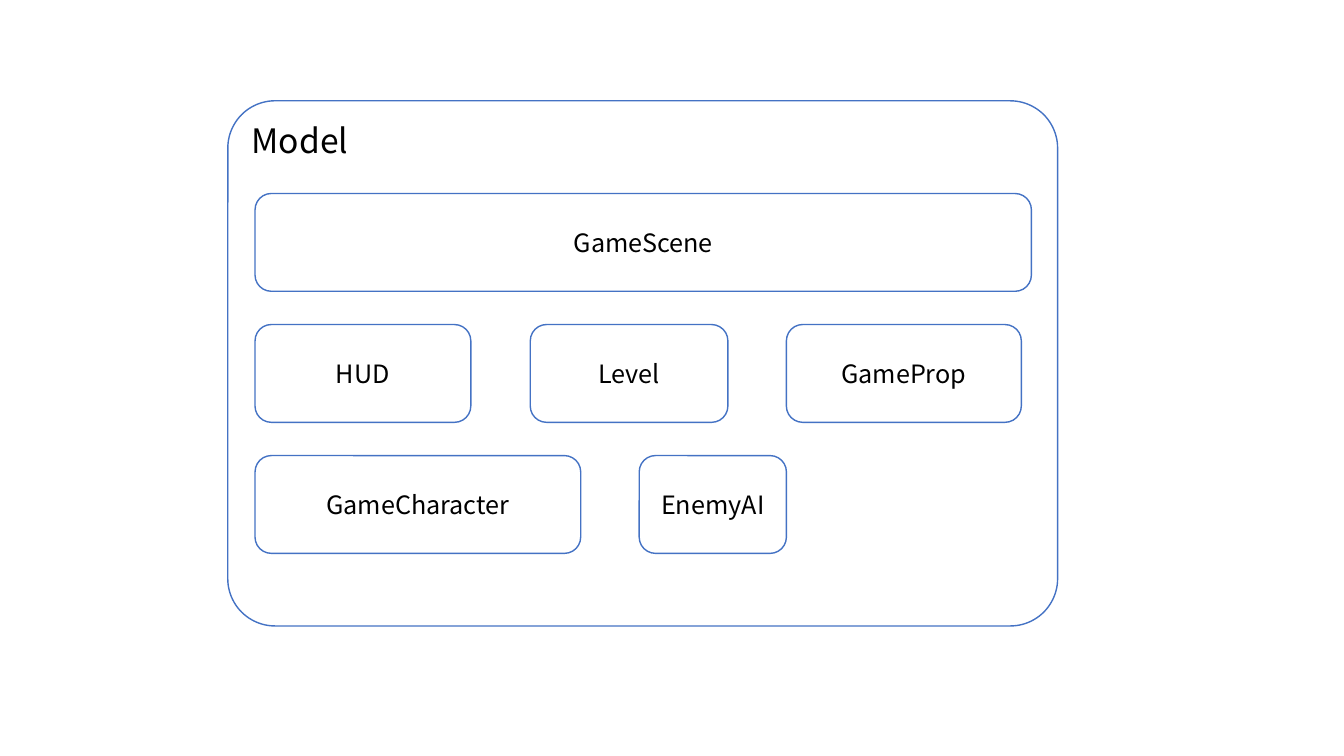
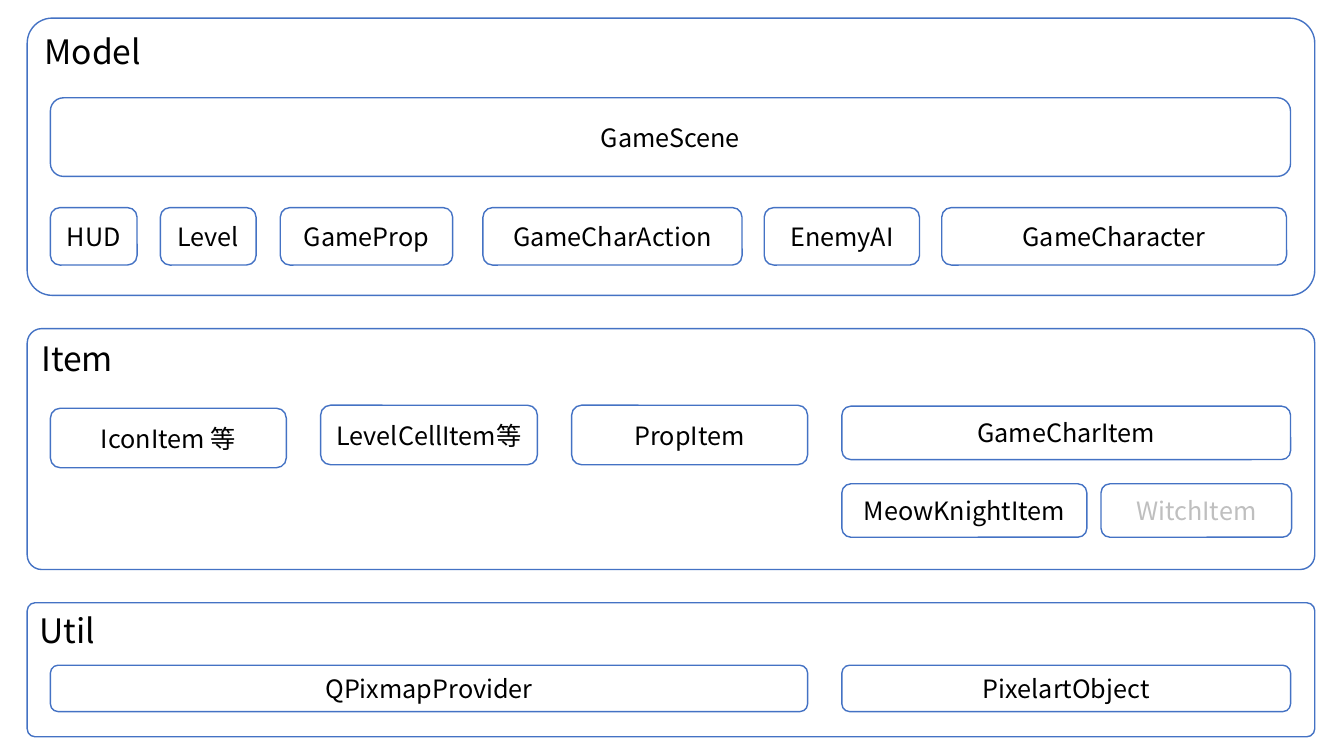
import pptx
import pptx.util
import pptx.dml.color
import pptx.enum.shapes
import pptx.enum.text
import pptx.oxml
import pptx.oxml.ns

PX = 9144  # EMU per px, 100 px to the inch
COLORS = {"line": "4472C4", "fill": "FFFFFF", "text": "000000", "faint": "BFBFBF"}
FONT = "Noto Sans CJK SC"


class Deck:
    def __init__(self, width, height):
        self.show = pptx.Presentation()
        self.show.slide_width = width * PX
        self.show.slide_height = height * PX
        self.slide = None

    def page(self):
        self.slide = self.show.slides.add_slide(self.show.slide_layouts[6])

    def color(self, name):
        return pptx.dml.color.RGBColor.from_string(COLORS[name])

    def shape(self, text, left, top, width, height, size, color="text"):
        """Add an outlined rounded rectangle with one line of text."""
        shape = self.slide.shapes.add_shape(
            pptx.enum.shapes.MSO_SHAPE.ROUNDED_RECTANGLE,
            left * PX, top * PX, width * PX, height * PX)
        shape.shadow.inherit = False
        shape.fill.solid()
        shape.fill.fore_color.rgb = self.color("fill")
        shape.line.color.rgb = self.color("line")
        shape.line.width = pptx.util.Pt(1)
        shape.text_frame.text = text
        font = shape.text_frame.paragraphs[0].runs[0].font
        font.name = FONT
        font.size = pptx.util.Pt(size)
        font.color.rgb = self.color(color)
        # East Asian glyphs take their typeface from a separate element
        east = pptx.oxml.parse_xml(
            f'<a:ea {pptx.oxml.ns.nsdecls("a")} typeface="{FONT}"/>')
        font._element.find(pptx.oxml.ns.qn("a:latin")).addnext(east)
        return shape

    def panel(self, title, left, top, width, height, bend):
        """Add a large frame titled at its top left; bend is the corner ratio."""
        shape = self.shape(title, left, top, width, height, 24)
        shape.adjustments[0] = bend
        frame = shape.text_frame
        frame.vertical_anchor = pptx.enum.text.MSO_ANCHOR.TOP
        frame.paragraphs[0].alignment = pptx.enum.text.PP_ALIGN.LEFT

    def box(self, text, left, top, width, height, color="text"):
        frame = self.shape(text, left, top, width, height, 18, color).text_frame
        frame.word_wrap = False
        frame.vertical_anchor = pptx.enum.text.MSO_ANCHOR.MIDDLE
        frame.paragraphs[0].alignment = pptx.enum.text.PP_ALIGN.CENTER

    def row(self, top, height, *cells):
        """Add boxes on one line; a cell is text, left, width and maybe a color."""
        for text, left, width, *color in cells:
            self.box(text, left, top, width, height, *color)


def model(deck):
    deck.page()
    deck.panel("Model", 226, 100, 823, 521, 0.09)
    rows = [
        [("GameScene", 253, 770)],
        [("HUD", 253, 214), ("Level", 526, 196), ("GameProp", 780, 233)],
        [("GameCharacter", 253, 323), ("EnemyAI", 634, 146)],
    ]
    for index, cells in enumerate(rows):
        deck.row(192 + index * 130, 97, *cells)


def layers(deck):
    deck.page()
    left, width = 27, 1277
    inner, right = 50, 835

    deck.panel("Model", left, 18, width, 275, 0.09)
    deck.row(97, 78, ("GameScene", inner, 1230))
    deck.row(206, 57,
             ("HUD", inner, 86), ("Level", 159, 95), ("GameProp", 278, 171),
             ("GameCharAction", 479, 257), ("EnemyAI", 758, 154),
             ("GameCharacter", 934, 342))

    deck.panel("Item", left, 326, width, 239, 0.06)
    deck.row(405, 59, ("IconItem 等", inner, 234))
    deck.row(402, 59, ("LevelCellItem等", 318, 215), ("PropItem", 567, 234))
    deck.row(403, 53, ("GameCharItem", right, 445))
    deck.row(480, 53, ("MeowKnightItem", right, 243),
             ("WitchItem", 1092, 189, "faint"))

    deck.panel("Util", left, 598, width, 133, 0.06)
    deck.row(660, 46, ("QPixmapProvider", inner, 751),
             ("PixelartObject", right, 445))


def main():
    deck = Deck(1333, 750)
    model(deck)
    layers(deck)
    deck.show.save("out.pptx")


if __name__ == "__main__":
    main()
